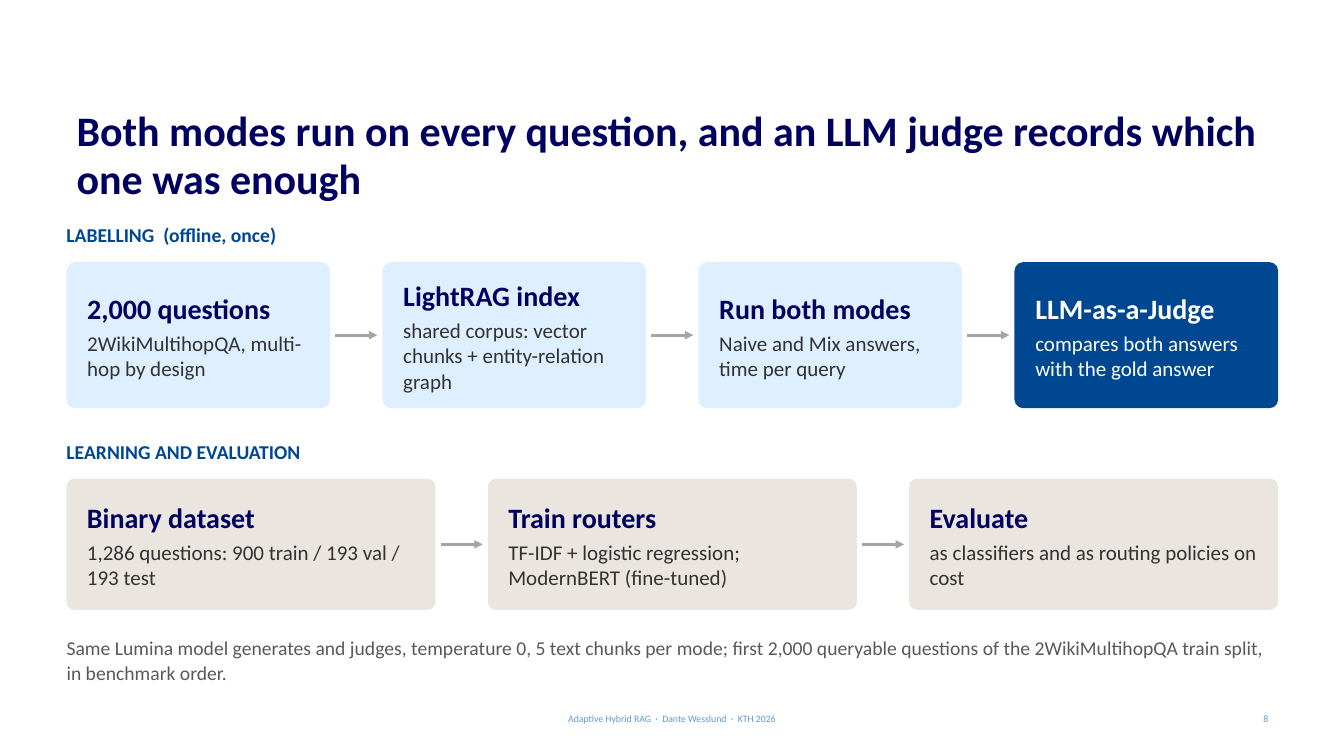
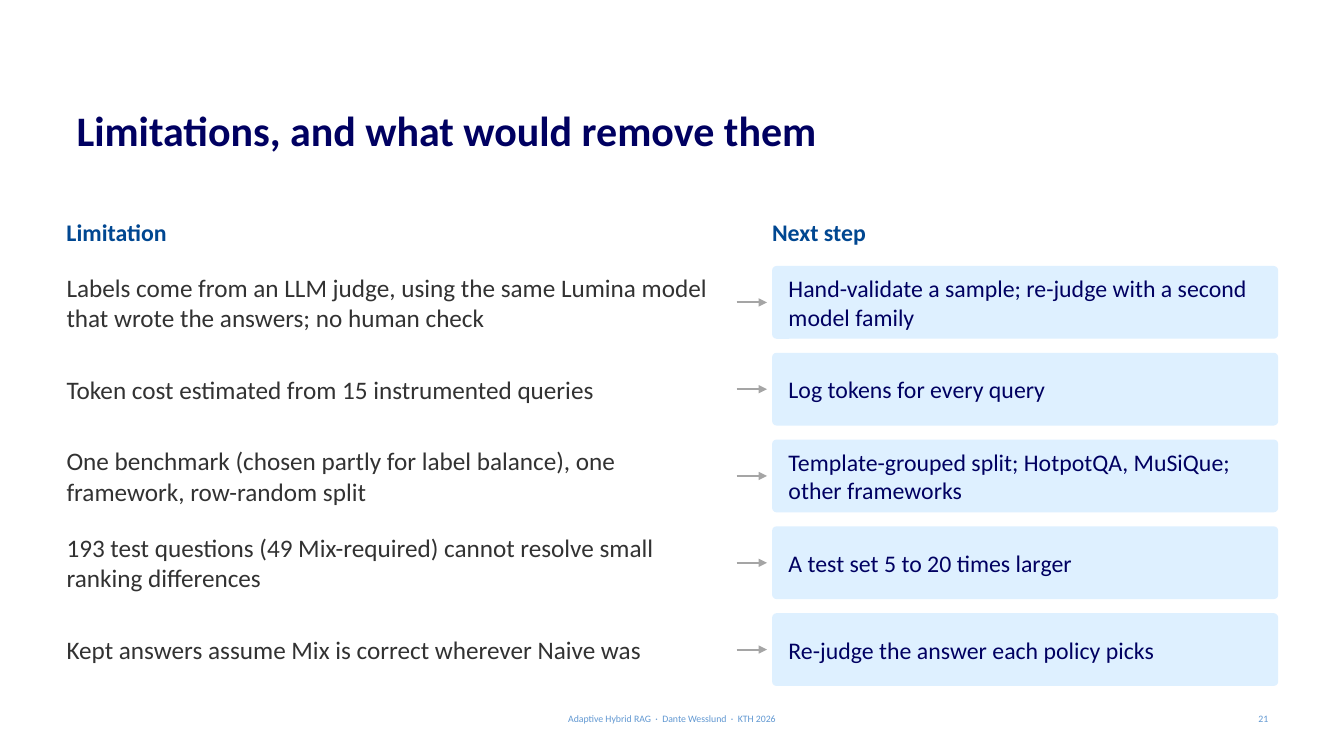
from dataclasses import dataclass

from lxml.etree import SubElement
from pptx import Presentation
from pptx.dml.color import RGBColor
from pptx.enum.shapes import MSO_CONNECTOR as Connector, MSO_SHAPE as Preset
from pptx.enum.text import MSO_ANCHOR as Anchor, MSO_AUTO_SIZE as AutoSize, PP_ALIGN as Align
from pptx.oxml.ns import qn
from pptx.util import Pt


# Colours and type sizes
@dataclass(frozen=True)
class Theme:
    font: str = "Calibri"
    navy: str = "000061"
    blue: str = "004791"
    sky: str = "6198D2"
    pale: str = "DEF0FF"
    sand: str = "EBE5E0"
    white: str = "FFFFFF"
    ink: str = "323232"
    gray: str = "595959"
    arrow: str = "A5A5A5"
    title: int = 30
    heading: int = 20
    limitation: int = 18
    step: int = 17
    detail: int = 15
    small: int = 14
    footer: int = 7


THEME = Theme()

# Shared measures, in points
SLIDE_WIDTH, SLIDE_HEIGHT = 960, 540
LEFT, WIDTH = 47.5, 865.5
CARD_GAP, ARROW_INSET = 37.4, 3.6
ROW_TOP, ROW_PITCH, ROW_HEIGHT = 190, 62, 52
LIMITATION_WIDTH, STEP_LEFT = 475, 551.5
FOOTER_TOP, FOOTER_HEIGHT = 509.8, 7.5

FOOTER = "Adaptive Hybrid RAG  ·  Dante Wesslund  ·  KTH 2026"

LABELLING_CARDS = [
    ("2,000 questions", "2WikiMultihopQA, multi-hop by design"),
    ("LightRAG index", "shared corpus: vector chunks + entity-relation graph"),
    ("Run both modes", "Naive and Mix answers, time per query"),
    ("LLM-as-a-Judge", "compares both answers with the gold answer"),
]
LEARNING_CARDS = [
    ("Binary dataset", "1,286 questions: 900 train / 193 val / 193 test"),
    ("Train routers", "TF-IDF + logistic regression; ModernBERT (fine-tuned)"),
    ("Evaluate", "as classifiers and as routing policies on cost"),
]
LIMITATIONS = [
    ("Labels come from an LLM judge, using the same Lumina model that wrote the answers; "
     "no human check",
     "Hand-validate a sample; re-judge with a second model family"),
    ("Token cost estimated from 15 instrumented queries",
     "Log tokens for every query"),
    ("One benchmark (chosen partly for label balance), one framework, row-random split",
     "Template-grouped split; HotpotQA, MuSiQue; other frameworks"),
    ("193 test questions (49 Mix-required) cannot resolve small ranking differences",
     "A test set 5 to 20 times larger"),
    ("Kept answers assume Mix is correct wherever Naive was",
     "Re-judge the answer each policy picks"),
]


# Text
def write(paragraph, text, *, size, color, bold=False, align=Align.LEFT,
          line_spacing=1.0, after=0):
    paragraph.text = text
    paragraph.alignment = align
    paragraph.line_spacing = line_spacing
    paragraph.space_after = Pt(after)
    font = paragraph.font
    font.name, font.size, font.bold = THEME.font, Pt(size), bold
    font.color.rgb = RGBColor.from_string(color)


def set_frame(frame, anchor, left, top, right, bottom):
    frame.word_wrap = True
    frame.auto_size = AutoSize.NONE
    frame.vertical_anchor = anchor
    frame.margin_left, frame.margin_top = Pt(left), Pt(top)
    frame.margin_right, frame.margin_bottom = Pt(right), Pt(bottom)


def add_text(slide, text, left, top, width, height, *, anchor=Anchor.TOP,
             margins=(0, 0, 0, 0), **text_format):
    box = slide.shapes.add_textbox(Pt(left), Pt(top), Pt(width), Pt(height))
    set_frame(box.text_frame, anchor, *margins)
    write(box.text_frame.paragraphs[0], text, **text_format)


def add_label(slide, text, left, top, size):
    add_text(slide, text, left, top, 360, 25, size=size, color=THEME.blue,
             bold=True, line_spacing=1.05, after=6)


# Boxes and arrows
def add_box(slide, left, top, width, height, fill, margin):
    shape = slide.shapes.add_shape(
        Preset.ROUNDED_RECTANGLE, Pt(left), Pt(top), Pt(width), Pt(height))
    shape.shadow.inherit = False
    shape.adjustments[0] = 0.06
    shape.fill.solid()
    shape.fill.fore_color.rgb = RGBColor.from_string(fill)
    shape.line.fill.background()
    set_frame(shape.text_frame, Anchor.MIDDLE, *[margin] * 4)
    return shape.text_frame


def add_arrow(slide, start, end, middle, weight):
    arrow = slide.shapes.add_connector(
        Connector.STRAIGHT, Pt(start), Pt(middle), Pt(end), Pt(middle))
    arrow.line.width = Pt(weight)
    arrow.line.color.rgb = RGBColor.from_string(THEME.arrow)
    SubElement(arrow.line._get_or_add_ln(), qn("a:tailEnd"), type="triangle")
    SubElement(arrow._element.spPr, qn("a:effectLst"))


def add_card(slide, heading, detail, left, top, width, height, fill):
    dark = fill == THEME.blue
    frame = add_box(slide, left, top, width, height, fill, 13)
    write(frame.paragraphs[0], heading, size=THEME.heading, bold=True,
          color=THEME.white if dark else THEME.navy, line_spacing=1.05, after=4)
    write(frame.add_paragraph(), detail, size=THEME.detail,
          color=THEME.white if dark else THEME.ink, after=6)


def add_card_row(slide, cards, top, height, fills):
    width = (WIDTH - CARD_GAP * (len(cards) - 1)) / len(cards)
    for index, ((heading, detail), fill) in enumerate(zip(cards, fills)):
        left = LEFT + index * (width + CARD_GAP)
        if index:
            add_arrow(slide, left - CARD_GAP + ARROW_INSET, left - ARROW_INSET,
                      top + height / 2, 2)
        add_card(slide, heading, detail, left, top, width, height, fill)


# Shared slide parts
def prepare_layout(presentation):
    layout = presentation.slide_layouts.get_by_name("Title Only")
    title = layout.placeholders[0]
    title.left, title.top = Pt(LEFT), Pt(68.4)
    title.width, title.height = Pt(WIDTH), Pt(75.6)
    set_frame(title.text_frame, Anchor.TOP, 7.2, 8.64, 7.2, 3.6)
    return layout


def add_slide(presentation, layout, title, number):
    slide = presentation.slides.add_slide(layout)
    write(slide.shapes.title.text_frame.paragraphs[0], title, size=THEME.title,
          color=THEME.navy, bold=True, line_spacing=0.95)
    footer_parts = [
        (FOOTER, (SLIDE_WIDTH - 324) / 2, 324, Align.CENTER),
        (str(number), LEFT + WIDTH - 216, 216, Align.RIGHT),
    ]
    for text, left, width, align in footer_parts:
        add_text(slide, text, left, FOOTER_TOP, width, FOOTER_HEIGHT,
                 anchor=Anchor.MIDDLE, margins=(7.2, 3.6, 7.2, 3.6),
                 size=THEME.footer, color=THEME.sky, align=align)
    return slide


# Slides
def add_pipeline_slide(presentation, layout):
    slide = add_slide(
        presentation, layout,
        "Both modes run on every question, and an LLM judge records which one was enough", 8)
    add_label(slide, "LABELLING  (offline, once)", LEFT, 158.4, THEME.small)
    add_card_row(slide, LABELLING_CARDS, 187.2, 104.4, [THEME.pale] * 3 + [THEME.blue])
    add_label(slide, "LEARNING AND EVALUATION", LEFT, 313.2, THEME.small)
    add_card_row(slide, LEARNING_CARDS, 342, 93.6, [THEME.sand] * 3)
    add_text(slide,
             "Same Lumina model generates and judges, temperature 0, 5 text chunks per mode; "
             "first 2,000 queryable questions of the 2WikiMultihopQA train split, "
             "in benchmark order.",
             LEFT, 453.6, WIDTH, 36, size=THEME.small, color=THEME.gray,
             line_spacing=1.05, after=6)


def add_limitations_slide(presentation, layout):
    slide = add_slide(presentation, layout, "Limitations, and what would remove them", 21)
    add_label(slide, "Limitation", LEFT, 154.8, THEME.step)
    add_label(slide, "Next step", STEP_LEFT, 154.8, THEME.step)
    for index, (limitation, step) in enumerate(LIMITATIONS):
        top = ROW_TOP + index * ROW_PITCH
        add_text(slide, limitation, LEFT, top, LIMITATION_WIDTH, ROW_HEIGHT,
                 anchor=Anchor.MIDDLE, size=THEME.limitation, color=THEME.ink, after=6)
        add_arrow(slide, LEFT + LIMITATION_WIDTH + ARROW_INSET, STEP_LEFT - ARROW_INSET,
                  top + ROW_HEIGHT / 2, 1.5)
        frame = add_box(slide, STEP_LEFT, top, LEFT + WIDTH - STEP_LEFT, ROW_HEIGHT,
                        THEME.pale, 10.8)
        write(frame.paragraphs[0], step, size=THEME.step, color=THEME.navy, after=6)


def main():
    presentation = Presentation()
    presentation.slide_width, presentation.slide_height = Pt(SLIDE_WIDTH), Pt(SLIDE_HEIGHT)
    layout = prepare_layout(presentation)
    add_pipeline_slide(presentation, layout)
    add_limitations_slide(presentation, layout)
    presentation.save("out.pptx")


if __name__ == "__main__":
    main()
